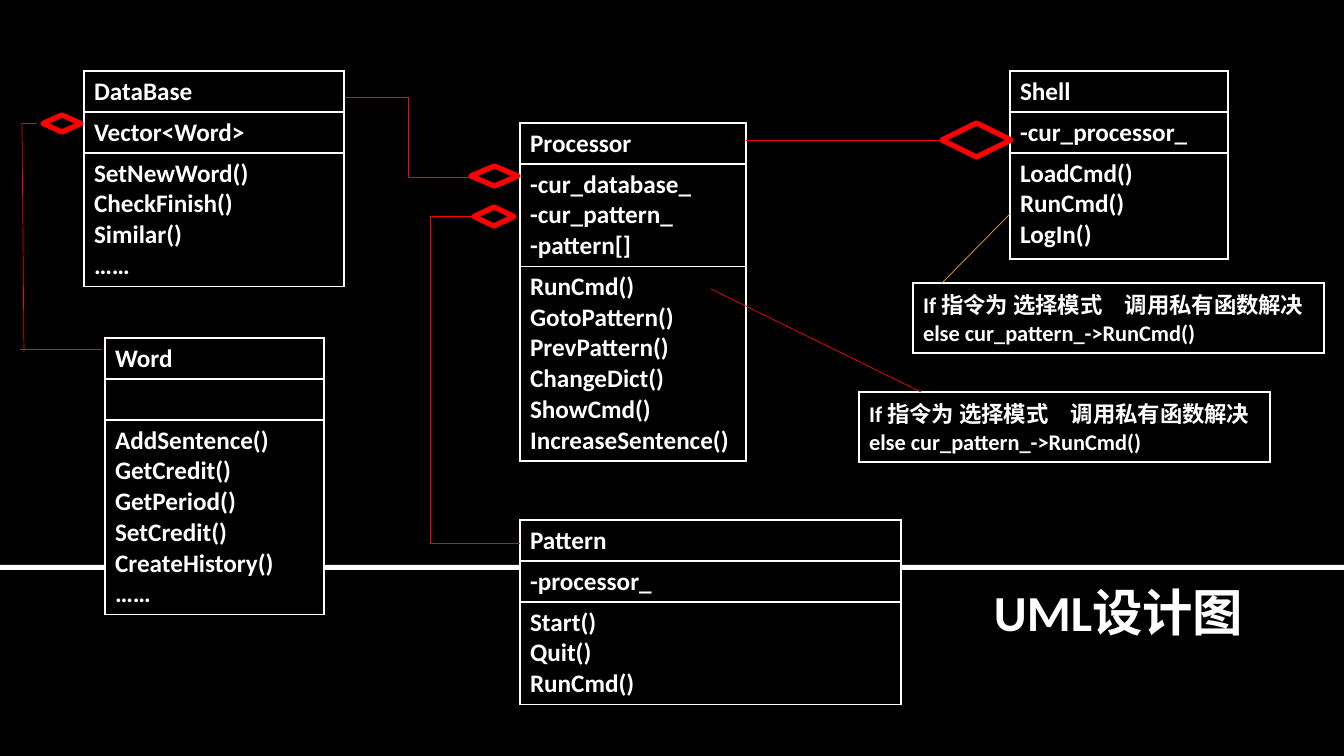
from dataclasses import dataclass

from lxml import etree
from pptx import Presentation
from pptx import util as u
from pptx.dml.color import RGBColor
from pptx.enum import shapes, text
from pptx.oxml.ns import qn

WIDTH, HEIGHT = 1344, 756
SCALE = u.Inches(40 / 3) / WIDTH


@dataclass(frozen=True)
class Theme:
    ground: str = "000000"
    ink: str = "FFFFFF"
    relation: str = "FF0000"
    note_link: str = "F0AD00"
    font: str = "Calibri"
    title_size: int = 36
    class_size: int = 18
    note_size: int = 16
    border: float = 1
    link: float = 0.5
    diamond: float = 3.78


THEME = Theme()

# Left, top, width, then one (height, lines) pair per compartment.
CLASSES = [
    (520, 123, 226, [
        (41, ["Processor"]),
        (102, ["-cur_database_", "-cur_pattern_", "-pattern[]"]),
        (194, ["RunCmd()", "GotoPattern()", "PrevPattern()", "ChangeDict()",
               "ShowCmd()", "IncreaseSentence()"]),
    ]),
    (1010, 71, 218, [
        (41, ["Shell"]),
        (41, ["-cur_processor_"]),
        (106, ["LoadCmd()", "RunCmd()", "LogIn()"]),
    ]),
    (520, 520, 381, [
        (41, ["Pattern"]),
        (41, ["-processor_"]),
        (102, ["Start()", "Quit()", "RunCmd()"]),
    ]),
    (84, 71, 260, [
        (41, ["DataBase"]),
        (41, ["Vector<Word>"]),
        (133, ["SetNewWord()", "CheckFinish()", "Similar()", "……"]),
    ]),
    (105, 338, 219, [
        (41, ["Word"]),
        (41, [""]),
        (194, ["AddSentence()", "GetCredit()", "GetPeriod()", "SetCredit()",
               "CreateHistory()", "……"]),
    ]),
]

NOTE_LINES = ["If 指令为 选择模式\u3000调用私有函数解决".replace("\u3000", "　"),
              "else cur_pattern_->RunCmd()"]
NOTES = [(859, 392), (913, 283)]
NOTE_WIDTH, NOTE_HEIGHT = 411, 70

NOTE_LINKS = [
    ((711, 289), (921, 392), THEME.relation),
    ((1010, 214), (942, 283), THEME.note_link),
]
RELATIONS = [
    [(942, 140), (746, 140)],
    [(474, 216), (430, 216), (430, 543), (520, 543)],
    [(37, 123), (22, 123), (24, 352)],
    [(20, 349), (102, 349)],
]
DATABASE_LINK = ((345, 97), (471, 177))
DIAMONDS = [(942, 123, 69, 34), (471, 166, 47, 20),
            (474, 207, 40, 19), (43, 115, 38, 17)]


def px(*lengths):
    return [u.Emu(round(length * SCALE)) for length in lengths]


def color(value):
    return RGBColor.from_string(value)


def write_lines(frame, lines, size):
    for index, line in enumerate(lines):
        paragraph = frame.paragraphs[0] if index == 0 else frame.add_paragraph()
        paragraph.text = line
        paragraph.font.color.rgb = color(THEME.ink)
        formats = {"name": THEME.font, "size": u.Pt(size), "bold": True}
        for font in [paragraph.font] + [run.font for run in paragraph.runs]:
            font.color.rgb = color(THEME.ink)
            for name, value in formats.items():
                setattr(font, name, value)


def add_borders(cell):
    properties = cell._tc.get_or_add_tcPr()
    for index, side in enumerate(("lnL", "lnR", "lnT", "lnB")):
        line = etree.Element(qn(f"a:{side}"), w=str(u.Pt(THEME.border)))
        fill = etree.SubElement(line, qn("a:solidFill"))
        etree.SubElement(fill, qn("a:srgbClr"), val=THEME.ink)
        properties.insert(index, line)


def add_compartments(slide, left, top, width, compartments, size):
    """Stack bordered text compartments in a one-column table."""
    height = sum(row_height for row_height, _ in compartments)
    table = slide.shapes.add_table(
        len(compartments), 1, *px(left, top, width, height)).table
    table.first_row = table.horz_banding = False
    for index, (row_height, lines) in enumerate(compartments):
        table.rows[index].height = px(row_height)[0]
        cell = table.cell(index, 0)
        cell.fill.solid()
        cell.fill.fore_color.rgb = color(THEME.ground)
        add_borders(cell)
        write_lines(cell.text_frame, lines, size)


def add_box(slide, kind, box, fill, line=None):
    shape = slide.shapes.add_shape(kind, *px(*box))
    shape.shadow.inherit = False
    shape.fill.solid()
    shape.fill.fore_color.rgb = color(fill)
    if line:
        shape.line.color.rgb = color(line)
        shape.line.width = u.Pt(THEME.diamond)
    else:
        shape.line.fill.background()
    return shape


def add_link(slide, start, end, line_color, kind=shapes.MSO_CONNECTOR.STRAIGHT):
    connector = slide.shapes.add_connector(kind, *px(*start, *end))
    connector.line.color.rgb = color(line_color)
    connector.line.width = u.Pt(THEME.link)
    etree.SubElement(connector._element.spPr, qn("a:effectLst"))


def add_classes(slide):
    for left, top, width, compartments in CLASSES:
        add_compartments(slide, left, top, width, compartments, THEME.class_size)


def add_notes(slide):
    for left, top in NOTES:
        add_compartments(slide, left, top, NOTE_WIDTH,
                         [(NOTE_HEIGHT, NOTE_LINES)], THEME.note_size)
    for start, end, line_color in NOTE_LINKS:
        add_link(slide, start, end, line_color)


def add_relations(slide):
    for points in RELATIONS:
        for start, end in zip(points, points[1:]):
            add_link(slide, start, end, THEME.relation)
    add_link(slide, *DATABASE_LINK, THEME.relation, shapes.MSO_CONNECTOR.ELBOW)
    for box in DIAMONDS:
        add_box(slide, shapes.MSO_SHAPE.DIAMOND, box, THEME.ground, THEME.relation)


def add_title(slide, box):
    shape = add_box(slide, shapes.MSO_SHAPE.RECTANGLE, box, THEME.ground)
    frame = shape.text_frame
    frame.word_wrap = True
    frame.vertical_anchor = text.MSO_ANCHOR.TOP
    write_lines(frame, ["UML设计图"], THEME.title_size)
    frame.paragraphs[0].alignment = text.PP_ALIGN.LEFT


def build_uml_slide(presentation):
    slide = presentation.slides.add_slide(presentation.slide_layouts[6])
    slide.background.fill.solid()
    slide.background.fill.fore_color.rgb = color(THEME.ground)
    add_box(slide, shapes.MSO_SHAPE.RECTANGLE, (0, 565, WIDTH, 5), THEME.ink)
    add_classes(slide)
    add_notes(slide)
    add_relations(slide)
    add_title(slide, (984, 576, 341, 72))


def main():
    presentation = Presentation()
    presentation.slide_width, presentation.slide_height = px(WIDTH, HEIGHT)
    build_uml_slide(presentation)
    presentation.save("out.pptx")


if __name__ == "__main__":
    main()
